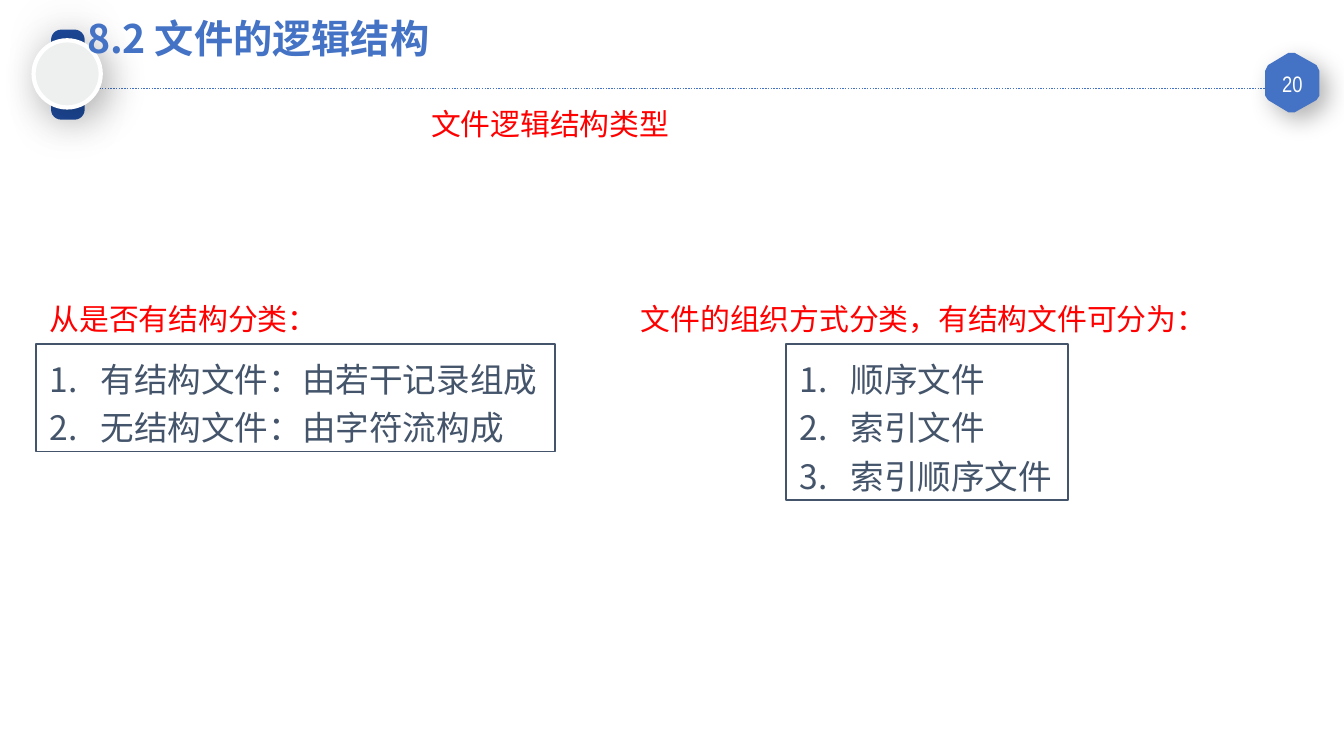
from lxml.etree import SubElement
from pptx import Presentation
from pptx.dml.color import RGBColor
from pptx.enum.dml import MSO_LINE
from pptx.enum.shapes import MSO_CONNECTOR, MSO_SHAPE
from pptx.enum.text import MSO_ANCHOR, MSO_AUTO_SIZE, PP_ALIGN
from pptx.oxml.ns import qn
from pptx.util import Inches, Pt

COLORS = {
    "blue": "4472C4",
    "navy": "1D4999",
    "disc": "EEF0F0",
    "white": "FFFFFF",
    "red": "FF0000",
    "slate": "44546A",
}
FONT = "Noto Sans CJK SC"
rgb = {name: RGBColor.from_string(value) for name, value in COLORS.items()}

presentation = Presentation()
presentation.slide_width = Inches(10)
presentation.slide_height = Inches(10) * 9 // 16
slide = presentation.slides.add_slide(presentation.slide_layouts[6])
shapes = slide.shapes


def set_shadow(shape, opacity, blur, distance, angle):
    shape.shadow.inherit = False
    effects = shape._element.spPr.find(qn("a:effectLst"))
    shadow = SubElement(effects, qn("a:outerShdw"), blurRad=str(Pt(blur)),
                        dist=str(Pt(distance)), dir=str(angle * 60000),
                        algn="ctr", rotWithShape="0")
    color = SubElement(shadow, qn("a:srgbClr"), val="000000")
    SubElement(color, qn("a:alpha"), val=str(opacity * 1000))


def add_text(box, lines, size, color, font=FONT, wrap=False, numbered=False):
    textbox = shapes.add_textbox(*map(Inches, box))
    frame = textbox.text_frame
    frame.word_wrap = wrap
    frame.auto_size = MSO_AUTO_SIZE.SHAPE_TO_FIT_TEXT
    frame.text = "\n".join(lines)
    for paragraph in frame.paragraphs:
        if numbered:
            paragraph.line_spacing = Pt(26)
            properties = paragraph._p.get_or_add_pPr()
            properties.set("marL", str(Inches(0.38)))
            properties.set("indent", str(-Inches(0.38)))
            SubElement(properties, qn("a:buFont"), typeface="+mj-lt")
            SubElement(properties, qn("a:buAutoNum"), type="arabicPeriod")
        paragraph.font.size = Pt(size)
        paragraph.font.color.rgb = rgb[color]
        paragraph.font.name = font
        SubElement(paragraph.font._rPr, qn("a:ea"), typeface=font)
    return textbox


rule = shapes.add_connector(MSO_CONNECTOR.STRAIGHT, Inches(0.33), Inches(0.66),
                            Inches(9.43), Inches(0.66))
rule.line.color.rgb = rgb["blue"]
rule.line.width = Pt(0.75)
rule.line.dash_style = MSO_LINE.ROUND_DOT
SubElement(rule._element.spPr, qn("a:effectLst"))

hexagon_points = [
    (Inches(x), Inches(y)) for x, y in [
        (9.42, 0.53), (9.44, 0.49), (9.59, 0.4), (9.63, 0.4), (9.79, 0.49), (9.81, 0.53),
        (9.81, 0.71), (9.79, 0.74), (9.63, 0.83), (9.59, 0.83), (9.44, 0.74), (9.42, 0.71),
    ]
]
builder = shapes.build_freeform(*hexagon_points[0])
builder.add_line_segments(hexagon_points[1:], close=True)
hexagon = builder.convert_to_shape()
hexagon.fill.solid()
hexagon.fill.fore_color.rgb = rgb["blue"]
hexagon.line.color.rgb = rgb["blue"]
hexagon.line.width = Pt(1)
set_shadow(hexagon, 30, 13, 6, 45)

page_number = add_text((9.42, 0.5, 0.39, 0.25), ["20"], 12, "white", "Arial Narrow", True)
number_frame = page_number.text_frame
number_frame.auto_size = MSO_AUTO_SIZE.NONE
number_frame.vertical_anchor = MSO_ANCHOR.MIDDLE
number_frame.margin_left = number_frame.margin_right = Inches(0.07)
number_frame.margin_top = number_frame.margin_bottom = Inches(0.04)
number_frame.paragraphs[0].alignment = PP_ALIGN.CENTER

strap = shapes.add_shape(MSO_SHAPE.ROUNDED_RECTANGLE, Inches(0.17), Inches(0.43),
                         Inches(0.67), Inches(0.25))
strap.rotation = 270
strap.adjustments[0] = 0.3
strap.fill.solid()
strap.fill.fore_color.rgb = rgb["navy"]
strap.line.fill.background()
set_shadow(strap, 17, 27, 0, 0)

disc = shapes.add_shape(MSO_SHAPE.OVAL, Inches(0.25), Inches(0.3), Inches(0.5), Inches(0.5))
disc.fill.solid()
disc.fill.fore_color.rgb = rgb["disc"]
disc.line.color.rgb = rgb["white"]
disc.line.width = Pt(2.25)
set_shadow(disc, 28, 22, 6, 45)

title = add_text((0.55, 0.06, 5.76, 0.45), ["8.2 文件的逻辑结构"], 21, "blue", wrap=True)
title.text_frame.paragraphs[0].font.bold = True

headings = [
    ((3.11, 0.74, 2, 0.37), "文件逻辑结构类型"),
    ((0.27, 2.19, 2.22, 0.37), "从是否有结构分类："),
    ((4.67, 2.19, 4.47, 0.37), "文件的组织方式分类，有结构文件可分为："),
]
for box, heading in headings:
    add_text(box, [heading], 16, "red")

file_types = [
    ((0.27, 2.56, 3.86, 0.8), ["有结构文件：由若干记录组成", "无结构文件：由字符流构成"]),
    ((5.85, 2.56, 2.1, 1.16), ["顺序文件", "索引文件", "索引顺序文件"]),
]
for box, items in file_types:
    type_list = add_text(box, items, 18, "slate", numbered=True)
    type_list.line.color.rgb = rgb["slate"]
    type_list.line.width = Pt(1)

presentation.save("out.pptx")
